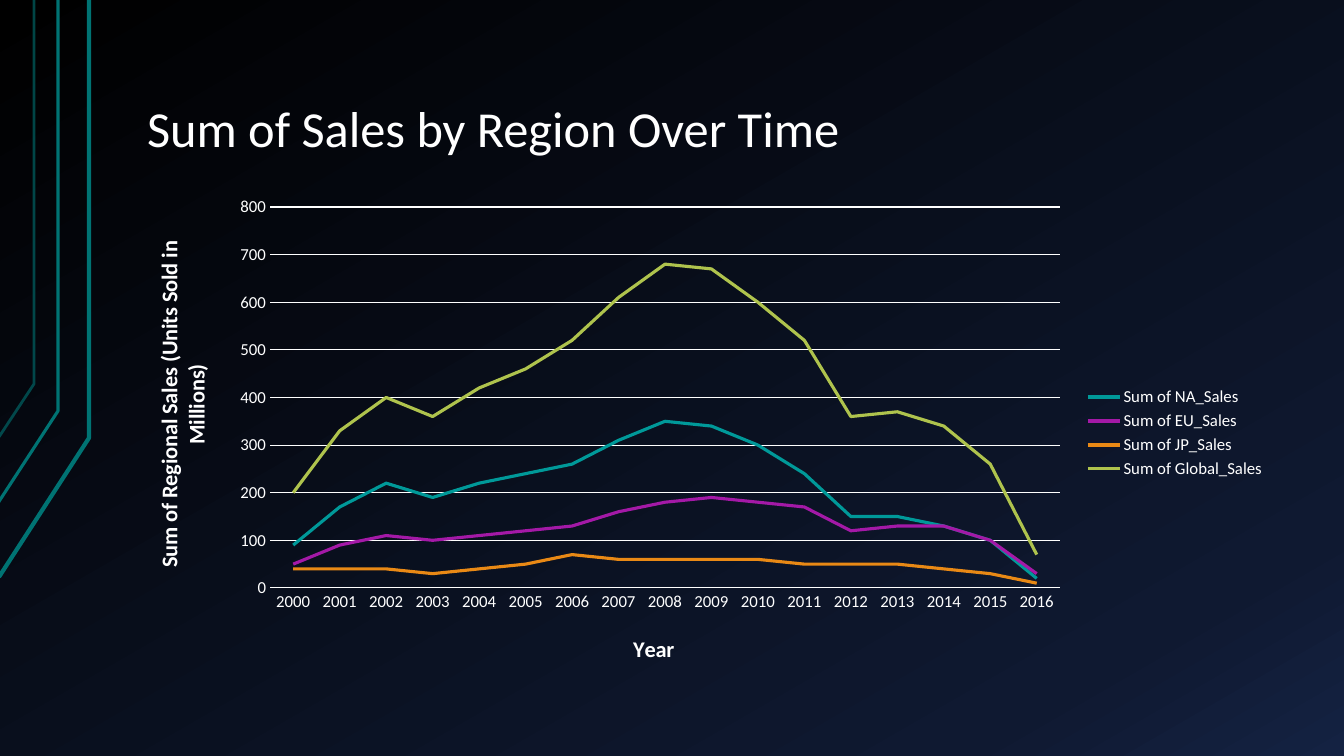
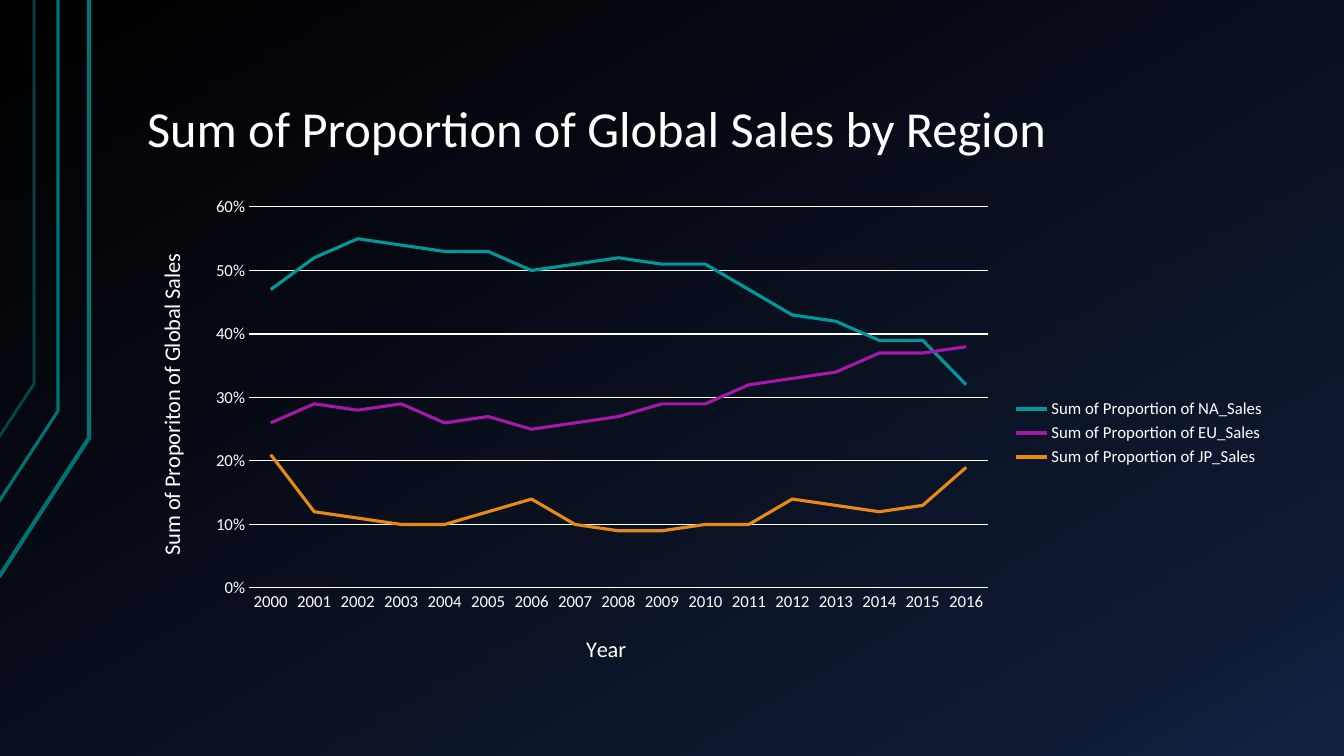
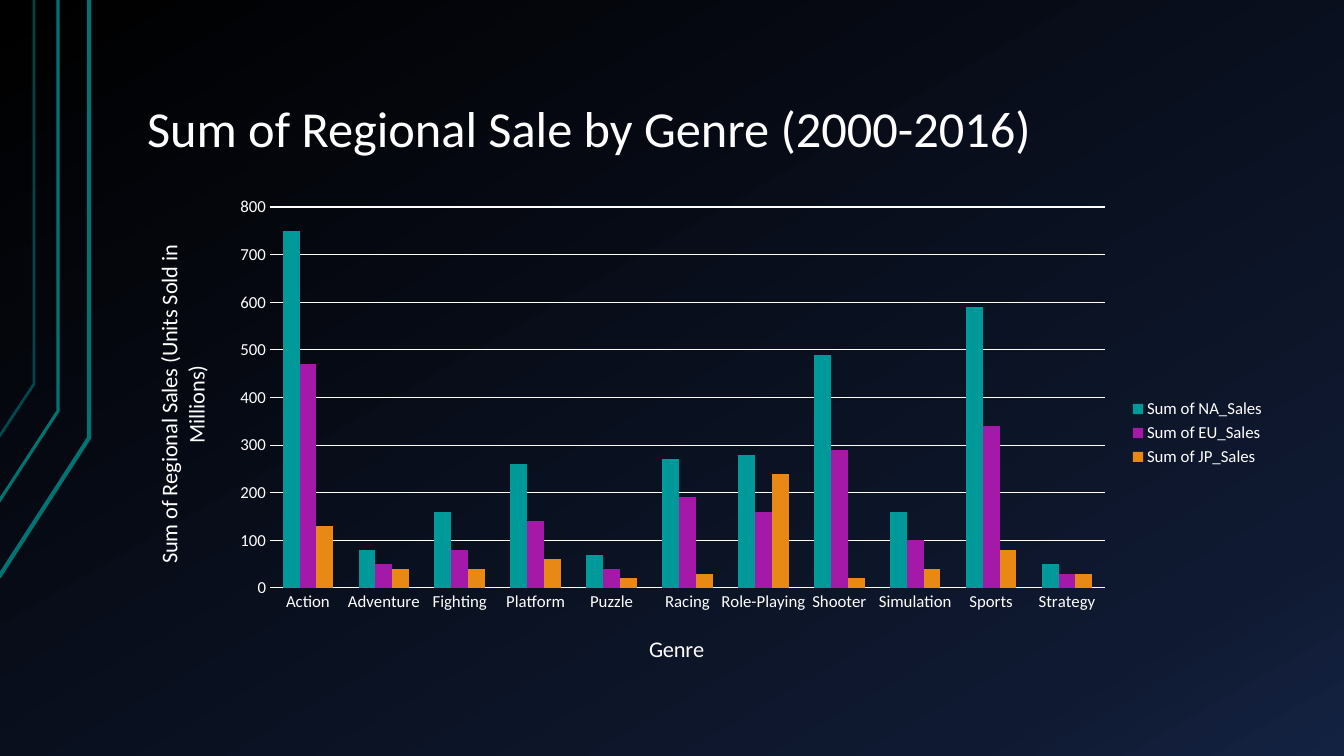
from copy import deepcopy
from lxml.etree import SubElement
from pptx import Presentation
from pptx.chart.data import CategoryChartData
from pptx.dml.color import RGBColor
from pptx.enum.chart import XL_CHART_TYPE, XL_LEGEND_POSITION, XL_TICK_MARK
from pptx.enum.text import MSO_ANCHOR, PP_ALIGN
from pptx.oxml import parse_xml
from pptx.oxml.ns import nsdecls, qn
from pptx.util import Pt

PX = 12192000 / 1344
FONT = "Calibri"
COLORS = {
    "white": "FFFFFF", "black": "000000", "navy": "0F1931", "blue": "142242",
    "line": "007373", "NA": "009999", "EU": "A419A7", "JP": "E98915", "Global": "AFC34D",
}
RGB = {name: RGBColor.from_string(c) for name, c in COLORS.items()}
CHART = (134, 187, 1142, 492)
PLOT_TOP, PLOT_BOTTOM, AXIS_TITLE_TOP = 207, 588, 630


def write(tf, text, size, bold=False, color="white", align=None, spacing=None):
    p = tf.paragraphs[0]
    p.alignment, p.line_spacing = align, spacing
    r = p.add_run()
    r.text = text
    r.font.name, r.font.size, r.font.bold = FONT, Pt(size), bold
    r.font.color.rgb = RGB[color]


def place(element, left, top, width=None, height=None):
    """Fix a chart part at a position given in slide px."""
    x, y, w, h = CHART
    layout = element.find(qn("c:layout"))
    if layout is None:
        layout = parse_xml(f"<c:layout {nsdecls('c')}/>")
        element.insert(0, layout)
    manual = SubElement(layout, qn("c:manualLayout"))
    values = {"xMode": "edge", "yMode": "edge",
              "x": round((left - x) / w, 4), "y": round((top - y) / h, 4)}
    if width:
        SubElement(manual, qn("c:layoutTarget")).set("val", "inner")
        values.update(w=round(width / w, 4), h=round(height / h, 4))
    for tag, value in values.items():
        SubElement(manual, qn(f"c:{tag}")).set("val", str(value))


YEARS = [str(year) for year in range(2000, 2017)]
GENRES = ["Action", "Adventure", "Fighting", "Platform", "Puzzle", "Racing",
          "Role-Playing", "Shooter", "Simulation", "Sports", "Strategy"]
UNITS = "Sum of Regional Sales (Units Sold in Millions)"

# plot: left and right edge; x_left: left edge of the category axis title
SLIDES = [
    dict(title="Sum of Sales by Region Over Time", kind=XL_CHART_TYPE.LINE,
         cats=YEARS, x_title="Year", y_title=UNITS, bold=True, prefix="Sum of ",
         plot=(270, 1060), x_left=629, top=800, step=100, fmt="General",
         series={
             "NA": [90, 170, 220, 190, 220, 240, 260, 310, 350, 340, 300, 240, 150, 150, 130, 100, 20],
             "EU": [50, 90, 110, 100, 110, 120, 130, 160, 180, 190, 180, 170, 120, 130, 130, 100, 30],
             "JP": [40, 40, 40, 30, 40, 50, 70, 60, 60, 60, 60, 50, 50, 50, 40, 30, 10],
             "Global": [200, 330, 400, 360, 420, 460, 520, 610, 680, 670, 600, 520, 360, 370, 340, 260, 70],
         }),
    dict(title="Sum of Proportion of Global Sales by Region", kind=XL_CHART_TYPE.LINE,
         cats=YEARS, x_title="Year", y_title="Sum of Proporiton of Global Sales",
         bold=False, prefix="Sum of Proportion of ",
         plot=(249, 988), x_left=582, top=0.6, step=0.1, fmt="0%",
         series={
             "NA": [0.47, 0.52, 0.55, 0.54, 0.53, 0.53, 0.5, 0.51, 0.52, 0.51, 0.51, 0.47, 0.43, 0.42,
                    0.39, 0.39, 0.32],
             "EU": [0.26, 0.29, 0.28, 0.29, 0.26, 0.27, 0.25, 0.26, 0.27, 0.29, 0.29, 0.32, 0.33, 0.34,
                    0.37, 0.37, 0.38],
             "JP": [0.21, 0.12, 0.11, 0.1, 0.1, 0.12, 0.14, 0.1, 0.09, 0.09, 0.1, 0.1, 0.14, 0.13,
                    0.12, 0.13, 0.19],
         }),
    dict(title="Sum of Regional Sale by Genre (2000-2016)", kind=XL_CHART_TYPE.COLUMN_CLUSTERED,
         cats=GENRES, x_title="Genre", y_title=UNITS, bold=False, prefix="Sum of ",
         plot=(270, 1105), x_left=645, top=800, step=100, fmt="General",
         series={
             "NA": [750, 80, 160, 260, 70, 270, 280, 490, 160, 590, 50],
             "EU": [470, 50, 80, 140, 40, 190, 160, 290, 100, 340, 30],
             "JP": [130, 40, 40, 60, 20, 30, 240, 20, 40, 80, 30],
         }),
]

prs = Presentation()
prs.slide_width, prs.slide_height = round(1344 * PX), round(756 * PX)
master, layout = prs.slide_master, prs.slide_layouts[5]

# Shared background
fill = master.background.fill
fill.gradient()
fill.gradient_angle = 300
stops = master._element.find(".//" + qn("a:gsLst"))
stops.append(deepcopy(stops[-1]))
for stop, (position, color) in zip(fill.gradient_stops, [(0, "black"), (0.85, "navy"), (1, "blue")]):
    stop.position, stop.color.rgb = position, RGB[color]

# Shared title frame
title = layout.placeholders[0]
title.left, title.top, title.width, title.height = [round(v * PX) for v in (134, 30, 1142, 135)]
tf = title.text_frame
tf.vertical_anchor = MSO_ANCHOR.BOTTOM
tf.margin_left = tf.margin_right = round(13 * PX)
tf.margin_top = tf.margin_bottom = round(7 * PX)

slides = [prs.slides.add_slide(layout) for _ in SLIDES]

# Shared corner lines: built on a slide, then moved to the master
CORNER_LINES = [(-1, 577, 89, 438, 3, 100), (-2, 503, 58, 411, 2.25, 100), (-1, 437, 34, 384, 2, 60)]
for i, (x0, y0, x1, y1, weight, opacity) in enumerate(CORNER_LINES):
    builder = slides[0].shapes.build_freeform(x0, y0, scale=PX)
    builder.add_line_segments([(x1, y1), (x1, 0)], close=False)
    sp = builder.convert_to_shape()
    sp.shadow.inherit = False
    sp.fill.background()
    sp.line.color.rgb, sp.line.width = RGB["line"], Pt(weight)
    color = sp._element.find(".//" + qn("a:ln")).find(".//" + qn("a:srgbClr"))
    SubElement(color, qn("a:alpha")).set("val", str(opacity * 1000))
    sp._element.nvSpPr.cNvPr.set("id", str(100 + i))
    master.shapes._spTree.append(sp._element)

# Titles and charts
for s, d in zip(slides, SLIDES):
    write(s.shapes.title.text_frame, d["title"], 36, align=PP_ALIGN.LEFT, spacing=0.9)

    data = CategoryChartData(number_format=d["fmt"])
    data.categories = d["cats"]
    for region, values in d["series"].items():
        data.add_series(f"{d['prefix']}{region}_Sales", values)
    chart = s.shapes.add_chart(d["kind"], *[round(v * PX) for v in CHART], data).chart
    chart.has_title = False
    chart.font.name, chart.font.size = FONT, Pt(12)
    chart.font.color.rgb = RGB["white"]
    chart.has_legend = True
    chart.legend.position = XL_LEGEND_POSITION.RIGHT
    chart.legend.include_in_layout = False

    # Series
    plot = chart.plots[0]
    plot.vary_by_categories = False
    is_line = d["kind"] == XL_CHART_TYPE.LINE
    if not is_line:
        plot.gap_width, plot.overlap = 150, 0
    for region, series in zip(d["series"], plot.series):
        if is_line:
            series.smooth = False
            series.format.line.color.rgb = RGB[region]
            series.format.line.width = Pt(2.25)
        else:
            series.format.fill.solid()
            series.format.fill.fore_color.rgb = RGB[region]

    # Axes
    x_axis, y_axis = chart.category_axis, chart.value_axis
    for axis, text in ((x_axis, d["x_title"]), (y_axis, d["y_title"])):
        axis.major_tick_mark = axis.minor_tick_mark = XL_TICK_MARK.NONE
        axis.has_title = True
        write(axis.axis_title.text_frame, text, 16, bold=d["bold"])
    y_axis.minimum_scale, y_axis.maximum_scale, y_axis.major_unit = 0, d["top"], d["step"]
    y_axis.tick_labels.number_format = d["fmt"]
    y_axis.tick_labels.number_format_is_linked = False
    y_axis.format.line.fill.background()
    y_axis.has_major_gridlines = True
    for line in (x_axis.format.line, y_axis.major_gridlines.format.line):
        line.color.rgb, line.width = RGB["white"], Pt(0.75)

    # Positions inside the chart
    left, right = d["plot"]
    place(chart._chartSpace.find(".//" + qn("c:plotArea")), left, PLOT_TOP,
          right - left, PLOT_BOTTOM - PLOT_TOP)
    place(x_axis.axis_title._element, d["x_left"], AXIS_TITLE_TOP)

prs.save("out.pptx")
